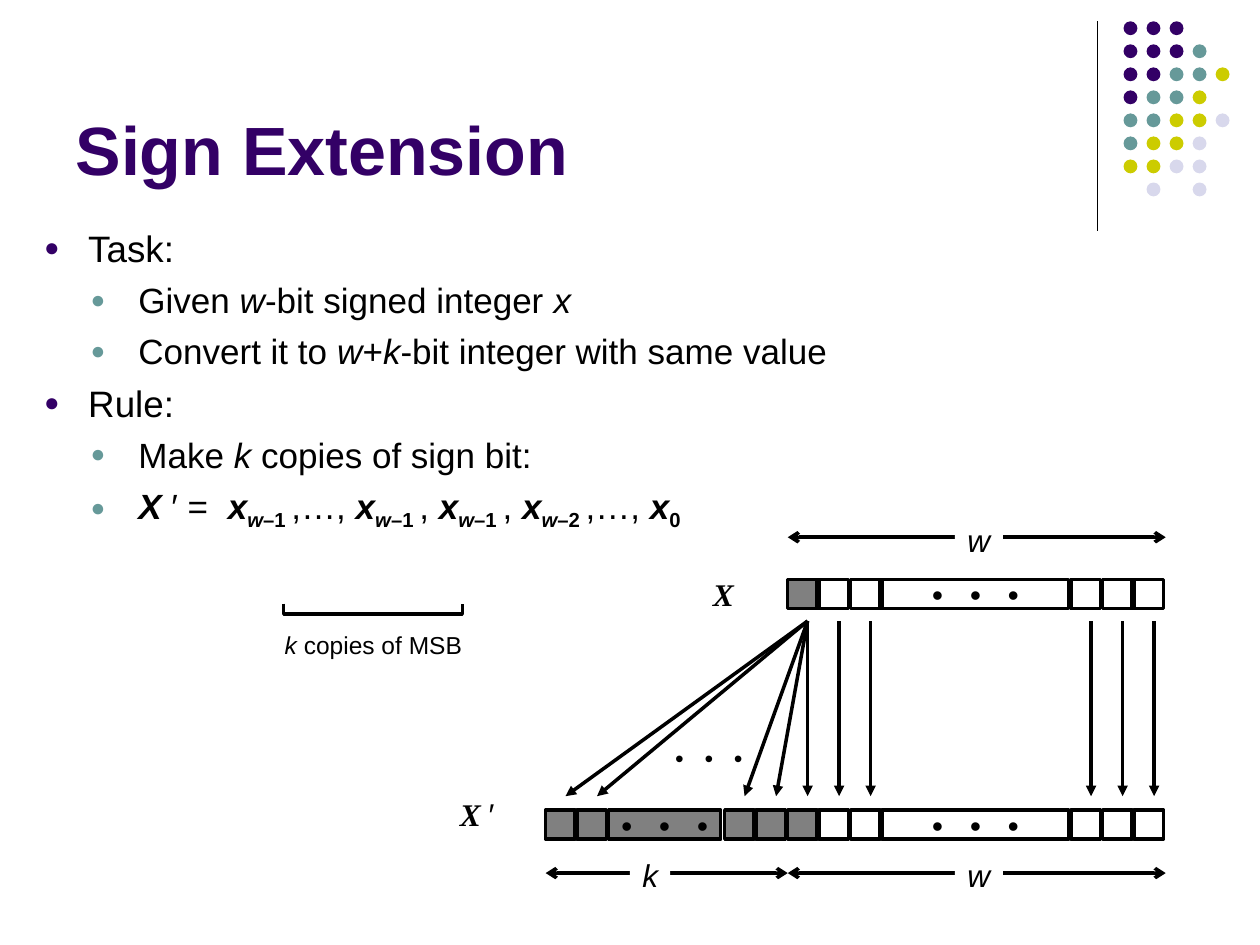
from pptx import Presentation
from pptx.dml.color import RGBColor
from pptx.enum.shapes import MSO_CONNECTOR, MSO_SHAPE
from pptx.enum.text import MSO_ANCHOR, MSO_AUTO_SIZE, PP_ALIGN
from pptx.oxml.ns import qn
from pptx.util import Cm, Pt
from lxml import etree

RECT, OVAL = MSO_SHAPE.RECTANGLE, MSO_SHAPE.OVAL
STRAIGHT = MSO_CONNECTOR.STRAIGHT
MIDDLE, BOTTOM = MSO_ANCHOR.MIDDLE, MSO_ANCHOR.BOTTOM
FIT_SHAPE = MSO_AUTO_SIZE.SHAPE_TO_FIT_TEXT
CENTER, LEFT = PP_ALIGN.CENTER, PP_ALIGN.LEFT

BLACK, WHITE, GRAY = "000000", "FFFFFF", "808080"
PURPLE, TEAL, YELLOW, LILAC = "330066", "669999", "CCCC00", "D8D8EC"
SANS, SERIF, MONO = "Arial", "Times New Roman", "Courier New"
ELLIPSIS = "• • •"

# Bit layout in centimetres
PITCH, BIT = 2.54 / 4, 0.59
WORD_LEFT, WORD_RIGHT, EXT_LEFT = 15.88, 23.5, 11.0
WORD_BITS = [WORD_LEFT + PITCH * i for i in (0, 1, 2, 9, 10, 11)]
EXT_BITS = [EXT_LEFT, EXT_LEFT + PITCH, WORD_LEFT - 2 * PITCH, WORD_LEFT - PITCH]
X_TOP, EXTENDED_TOP = 11.68, 16.33

DOT_ROWS = ["PPP", "PPPT", "PPTTY", "PTTY", "TTYYL", "TYYL", "YYLL", " L L"]
DOT_COLORS = {"P": PURPLE, "T": TEAL, "Y": YELLOW, "L": LILAC}
DOT_PITCH = 3.25 / 7


def rgb(color):
    return RGBColor.from_string(color)


def add_runs(p, runs, size, font=SANS, color=BLACK):
    """Add (text, style) runs; style letters are b bold, i italic, s subscript."""
    for text, style in runs:
        r = p.add_run()
        r.text = text
        r.font.name, r.font.size = font, Pt(size)
        r.font.bold, r.font.italic = "b" in style, "i" in style
        r.font.color.rgb = rgb(color)
        if "s" in style:
            r.font._element.set("baseline", "-25000")


def add_shape(s, kind, x, y, w, h, fill, line=None):
    sp = s.shapes.add_shape(kind, Cm(x), Cm(y), Cm(w), Cm(h))
    sp.shadow.inherit = False
    sp.fill.solid()
    sp.fill.fore_color.rgb = rgb(fill)
    if line:
        sp.line.color.rgb = rgb(line)
        sp.line.width = Pt(2)
    else:
        sp.line.fill.background()
    return sp


def add_cell(s, x, y, fill, w=BIT, text=None):
    sp = add_shape(s, RECT, x, y, w, BIT, fill, BLACK)
    if text:
        tf = sp.text_frame
        tf.word_wrap = False
        tf.vertical_anchor = MIDDLE
        tf.paragraphs[0].alignment = CENTER
        add_runs(tf.paragraphs[0], [(text, "")], 18, MONO)


def add_label(s, x, y, w, h, runs, size=18, font=SANS):
    sp = s.shapes.add_textbox(Cm(x), Cm(y), Cm(w), Cm(h))
    tf = sp.text_frame
    tf.word_wrap = False
    tf.auto_size = FIT_SHAPE
    add_runs(tf.paragraphs[0], runs, size, font)
    return sp


def add_line(s, x1, y1, x2, y2, width=2, head=None, tail=None):
    c = s.shapes.add_connector(STRAIGHT, Cm(x1), Cm(y1), Cm(x2), Cm(y2))
    c.line.color.rgb = rgb(BLACK)
    c.line.width = Pt(width)
    ln = c.line._get_or_add_ln()
    for tag, kind in (("a:headEnd", head), ("a:tailEnd", tail)):
        if kind:
            etree.SubElement(ln, qn(tag), type=kind)
    etree.SubElement(c._element.spPr, qn("a:effectLst"))


def add_dimension(s, x1, x2, y, name, x, w):
    """Draw a double-headed line broken by a white label."""
    add_line(s, x1, y, x2, y, head="arrow", tail="arrow")
    sp = add_label(s, x, y - 0.46, w, 1.02, [(name, "i")])
    sp.fill.solid()
    sp.fill.fore_color.rgb = rgb(WHITE)


def add_bullet(p, level):
    p.level = level
    pPr = p._p.get_or_add_pPr()
    margin, indent = ((0.89, -0.89), (1.9, -0.96))[level]
    pPr.set("marL", str(Cm(margin)))
    pPr.set("indent", str(Cm(indent)))
    color = etree.SubElement(pPr, qn("a:buClr"))
    etree.SubElement(color, qn("a:srgbClr"), val=(PURPLE, TEAL)[level])
    etree.SubElement(pPr, qn("a:buSzPct"), val="70000")
    etree.SubElement(pPr, qn("a:buFont"), typeface=SANS)
    etree.SubElement(pPr, qn("a:buChar"), char="●")


def formula():
    runs = [("X ", "bi"), ("′ =  ", "")]
    for index, separator in (("–1 ", ",…, "), ("–1 ", ", "),
                             ("–1 ", ", "), ("–2 ", ",…, ")):
        runs += [("x", "bi"), ("w", "bis"), (index, "bs"), (separator, "")]
    return runs + [("x", "bi"), ("0", "bs")]


def add_decoration(s):
    add_line(s, 22.12, 0.43, 22.12, 4.65, width=0.75)
    for row, dots in enumerate(DOT_ROWS):
        for col, dot in enumerate(dots):
            if dot in DOT_COLORS:
                add_shape(s, OVAL, 22.65 + DOT_PITCH * col, 0.43 + DOT_PITCH * row,
                          0.28, 0.28, DOT_COLORS[dot])


def add_title(s):
    title = s.shapes.title
    title.left, title.top, title.width, title.height = Cm(1.27), Cm(0.33), Cm(20.96), Cm(3.61)
    tf = title.text_frame
    tf.vertical_anchor = BOTTOM
    p = tf.paragraphs[0]
    p.alignment = LEFT
    add_runs(p, [("Sign Extension", "b")], 39, color=PURPLE)


def add_body(s):
    items = [
        (0, [("Task:", "")]),
        (1, [("Given ", ""), ("w", "i"), ("-bit signed integer ", ""), ("x", "i")]),
        (1, [("Convert it to ", ""), ("w", "i"), ("+", ""), ("k", "i"),
             ("-bit integer with same value", "")]),
        (0, [("Rule:", "")]),
        (1, [("Make ", ""), ("k", "i"), (" copies of sign bit:", "")]),
        (1, formula()),
    ]
    sp = s.shapes.add_textbox(Cm(0.64), Cm(4.43), Cm(22.86), Cm(12.24))
    tf = sp.text_frame
    tf.word_wrap = True
    for i, (level, runs) in enumerate(items):
        p = tf.add_paragraph() if i else tf.paragraphs[0]
        add_bullet(p, level)
        if i:
            p.space_before = Pt((5.2, 5)[level])
        add_runs(p, runs, (21, 20)[level])


def add_word(s, y):
    for i, x in enumerate(WORD_BITS):
        add_cell(s, x, y, WHITE if i else GRAY)
    add_cell(s, WORD_LEFT + 3 * PITCH, y, WHITE, 3.76, ELLIPSIS)


def add_diagram(s):
    add_word(s, X_TOP)
    add_word(s, EXTENDED_TOP)
    for x in EXT_BITS:
        add_cell(s, x, EXTENDED_TOP, GRAY)
    add_cell(s, EXT_LEFT + 2 * PITCH, EXTENDED_TOP, GRAY, 2.26, ELLIPSIS)

    moves = [(WORD_LEFT, x) for x in EXT_BITS] + [(x, x) for x in WORD_BITS]
    for start, end in moves:
        add_line(s, start + 0.4, 12.52, end + 0.4, 16.05, tail="triangle")

    add_label(s, 14.12, 11.46, 1.09, 1.02, [("X", "bi")], font=SERIF)
    prime = add_label(s, 9.02, 15.9, 1.3, 1.02, [("X ", "bi")], font=SERIF)
    add_runs(prime.text_frame.paragraphs[0], [("′", "")], 18)
    add_label(s, 13.3, 14.86, 2.1, 0.86, [(ELLIPSIS, "")], 14, MONO)

    add_dimension(s, WORD_LEFT, WORD_RIGHT, 10.83, "w", 19.25, 0.97)
    add_dimension(s, WORD_LEFT, WORD_RIGHT, 17.6, "w", 19.25, 0.97)
    add_dimension(s, EXT_LEFT, WORD_LEFT, 17.6, "k", 12.7, 0.81)


def add_msb_bracket(s):
    add_label(s, 5.49, 12.57, 4.09, 0.84, [("k", "i"), (" copies of MSB", "")], 14)
    left, right, top, bottom = Cm(5.72), Cm(9.32), Cm(12.17), Cm(12.38)
    builder = s.shapes.build_freeform(left, top)
    builder.add_line_segments([(left, bottom), (right, bottom), (right, top)], close=False)
    sp = builder.convert_to_shape()
    sp.shadow.inherit = False
    sp.fill.background()
    sp.line.color.rgb = rgb(BLACK)
    sp.line.width = Pt(2)


def main():
    prs = Presentation()
    prs.slide_width, prs.slide_height = Cm(25.4), Cm(19.05)
    s = prs.slides.add_slide(prs.slide_layouts[5])
    add_decoration(s)
    add_title(s)
    add_body(s)
    add_diagram(s)
    add_msb_bracket(s)
    prs.save("out.pptx")


if __name__ == "__main__":
    main()
